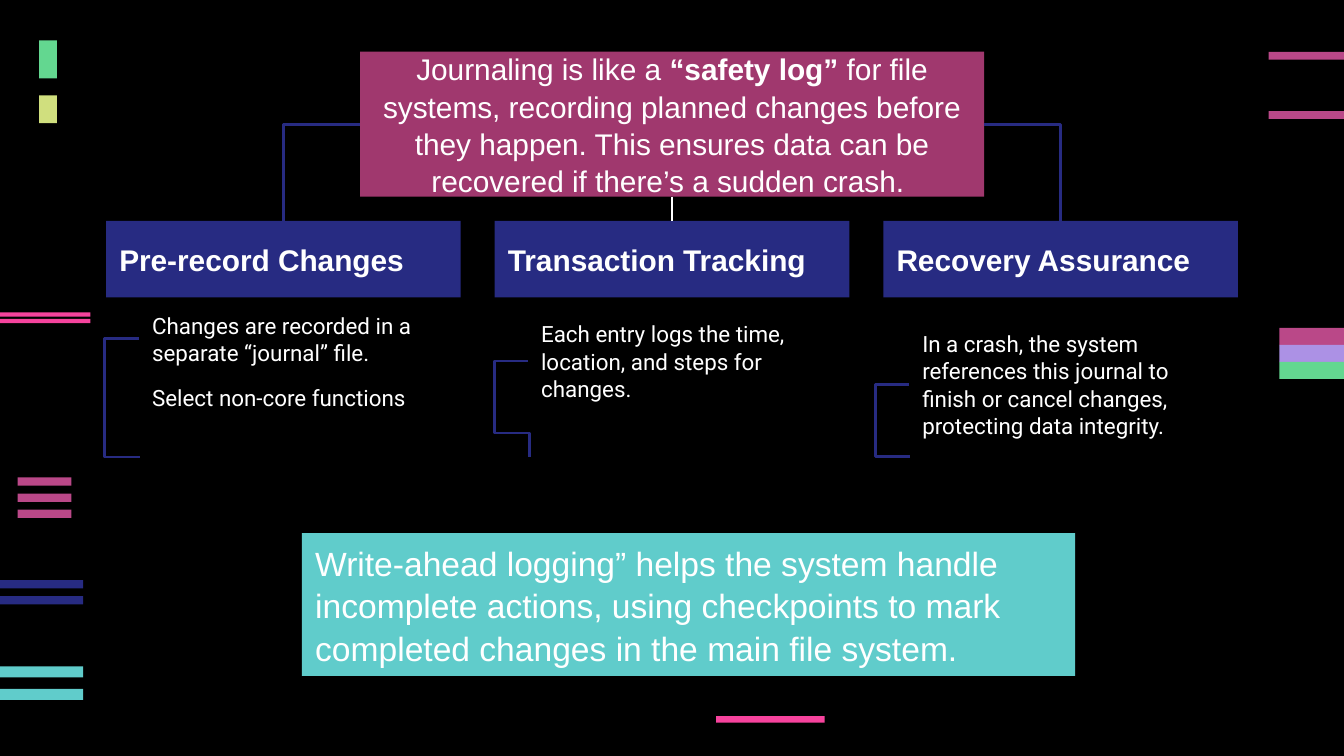
"""Build the slide that explains journaling in file systems."""
from dataclasses import dataclass

import lxml.etree
import pptx
import pptx.dml.color
import pptx.enum.shapes
import pptx.enum.text
import pptx.oxml.ns
import pptx.util

Pt = pptx.util.Pt
qn = pptx.oxml.ns.qn


@dataclass(frozen=True)
class Theme:
    """Colours, fonts and type sizes of the slide."""
    black: str = "000000"
    white: str = "FFFFFF"
    navy: str = "272B82"
    plum: str = "A0386E"
    rose: str = "BA4888"
    pink: str = "F6439D"
    teal: str = "60CCCB"
    green: str = "63D790"
    violet: str = "AC91E5"
    lime: str = "D0DF7E"
    head_font: str = "Arial"
    body_font: str = "Roboto"
    body: int = 12
    head: int = 16
    note: int = 18


THEME = Theme()

BARS = [
    (THEME.rose, 9.5, (255.7, 264.4, 273), 28.8, 4.5),
    (THEME.rose, 679.7, (27.8, 59.6), 40.3, 4.2),
    (THEME.pink, 383.6, (383.6,), 58.2, 3.6),
    (THEME.teal, 0, (357, 369), 44.6, 6),
    (THEME.rose, 685.4, (175.7,), 34.6, 9.2),
    (THEME.violet, 685.4, (184.8,), 34.6, 9.2),
    (THEME.green, 685.4, (193.8,), 34.6, 9.2),
    (THEME.green, 21, (21.7,), 9.5, 20.3),
    (THEME.lime, 21, (51.1,), 9.5, 14.9),
    (THEME.pink, 0, (167.3, 170.8), 48.4, 2.3),
    (THEME.navy, 0, (310.8, 319.4), 44.6, 4.4),
]

COLUMNS = [
    ("Pre-record Changes", 74.4, 172,
     [("Changes are recorded in a separate “journal” file.", 167.9, 27),
      ("Select non-core functions", 199.6, 27)],
     18.7, (3, -22.4)),
    ("Transaction Tracking", 282.8, 172,
     [("Each entry logs the time, location, and steps for changes.", 167.9, 51)],
     18, (4, -21.8, 0.75)),
    ("Recovery Assurance", 487, 176.4,
     [("In a crash, the system references this journal to finish or cancel "
       "changes, protecting data integrity.", 167.9, 76)],
     18, (3, -21.8)),
]


def rgb(value):
    """Return a colour object for a hex string."""
    return pptx.dml.color.RGBColor.from_string(value)


def paint(sp, color):
    """Fill a shape and remove its outline."""
    sp.fill.solid()
    sp.fill.fore_color.rgb = rgb(color)
    sp.line.fill.background()


def add_block(s, color, x, y, w, h):
    """Add a plain filled rectangle."""
    kind = pptx.enum.shapes.MSO_SHAPE.RECTANGLE
    sp = s.shapes.add_shape(kind, Pt(x), Pt(y), Pt(w), Pt(h))
    sp.shadow.inherit = False
    paint(sp, color)
    return sp


def format_text(sp, size, font, bold=False, centred=False, inset=1.8, spacing=1.0):
    """Set the frame, alignment and run format of a shape's text."""
    tf = sp.text_frame
    tf.word_wrap = True
    tf.auto_size = pptx.enum.text.MSO_AUTO_SIZE.NONE
    tf.vertical_anchor = pptx.enum.text.MSO_ANCHOR.MIDDLE
    tf.margin_left = tf.margin_right = Pt(7.2)
    tf.margin_top = tf.margin_bottom = Pt(inset)
    align = pptx.enum.text.PP_ALIGN
    for p in tf.paragraphs:
        p.alignment = align.CENTER if centred else align.LEFT
        p.line_spacing = spacing
        for r in p.runs:
            r.font.size = Pt(size)
            r.font.name = font
            r.font.bold = bold
            r.font.color.rgb = rgb(THEME.white)


def add_title(s):
    """Place the summary in the title placeholder with its key term bold."""
    sp = s.shapes.title
    sp.left, sp.top, sp.width, sp.height = Pt(192.9), Pt(27.6), Pt(334.3), Pt(77.7)
    paint(sp, THEME.plum)
    p = sp.text_frame.paragraphs[0]
    for text in (
        "Journaling is like a ",
        "“safety log”",
        " for file systems, recording planned changes before they happen. "
        "This ensures data can be recovered if there’s a sudden crash. ",
    ):
        p.add_run().text = text
    format_text(sp, THEME.head, THEME.head_font, centred=True, inset=3.6, spacing=1.04)
    p.runs[1].font.bold = True


def add_panel(s, text, color, box, size, **style):
    """Add a filled rectangle with text."""
    sp = add_block(s, color, *box)
    sp.text_frame.text = text
    format_text(sp, size, THEME.head_font, **style)


def add_detail(s, text, x, y, w, h):
    """Add a body text box."""
    sp = s.shapes.add_textbox(Pt(x), Pt(y), Pt(w), Pt(h))
    sp.text_frame.text = text
    format_text(sp, THEME.body, THEME.body_font, spacing=1.02)


def add_link(s, start, end, color=THEME.navy, width=1.5, bend=None):
    """Add a straight link, or a bent one given its segments and adjustments."""
    kinds = pptx.enum.shapes.MSO_CONNECTOR
    kind = kinds.ELBOW if bend else kinds.STRAIGHT
    sp = s.shapes.add_connector(kind, *map(Pt, start + end))
    sp.line.color.rgb = rgb(color)
    sp.line.width = Pt(width)
    props = sp._element.spPr
    lxml.etree.SubElement(props, qn("a:effectLst"))
    if bend:
        segments, *adjusts = bend
        geom = props.find(qn("a:prstGeom"))
        geom.set("prst", f"bentConnector{segments}")
        guides = geom.find(qn("a:avLst"))
        for i, value in enumerate(adjusts, 1):
            guide = lxml.etree.SubElement(guides, qn("a:gd"))
            guide.set("name", f"adj{i}")
            guide.set("fmla", f"val {round(value * 100000)}")


def add_column(s, i, heading, x, w, details, reach, bend):
    """Add one column with its heading, details and bracket."""
    add_panel(s, heading, THEME.navy, (56.8 + 208.2 * i, 118.4, 190, 41),
              THEME.head, bold=True)
    for text, y, h in details:
        add_detail(s, text, x, y, w, h)
    segments, *adjusts = bend
    adjusts[0] = -reach / 0.8
    middle = details[0][1] + details[0][2] / 2
    add_link(s, (x, middle), (x + 0.8, 244.8), bend=(segments, *adjusts))


def main():
    """Build and save the slide."""
    prs = pptx.Presentation()
    prs.slide_width, prs.slide_height = Pt(720), Pt(405)
    s = prs.slides.add_slide(prs.slide_layouts[5])
    s.background.fill.solid()
    s.background.fill.fore_color.rgb = rgb(THEME.black)
    for color, x, tops, w, h in BARS:
        for y in tops:
            add_block(s, color, x, y, w, h)
    add_title(s)
    for i, column in enumerate(COLUMNS):
        add_column(s, i, *column)
    add_link(s, (192.9, 66.5), (151.8, 118.4), bend=(2,))
    add_link(s, (527.2, 66.5), (568.2, 118.4), bend=(2,))
    add_link(s, (360, 105.3), (360, 118.4), THEME.white, 0.75)
    add_panel(s, "Write-ahead logging” helps the system handle incomplete actions, "
              "using checkpoints to mark completed changes in the main file system.",
              THEME.teal, (161.8, 285.6, 414.2, 76.6), THEME.note,
              inset=7.2, spacing=1.05)
    prs.save("out.pptx")


if __name__ == "__main__":
    main()
